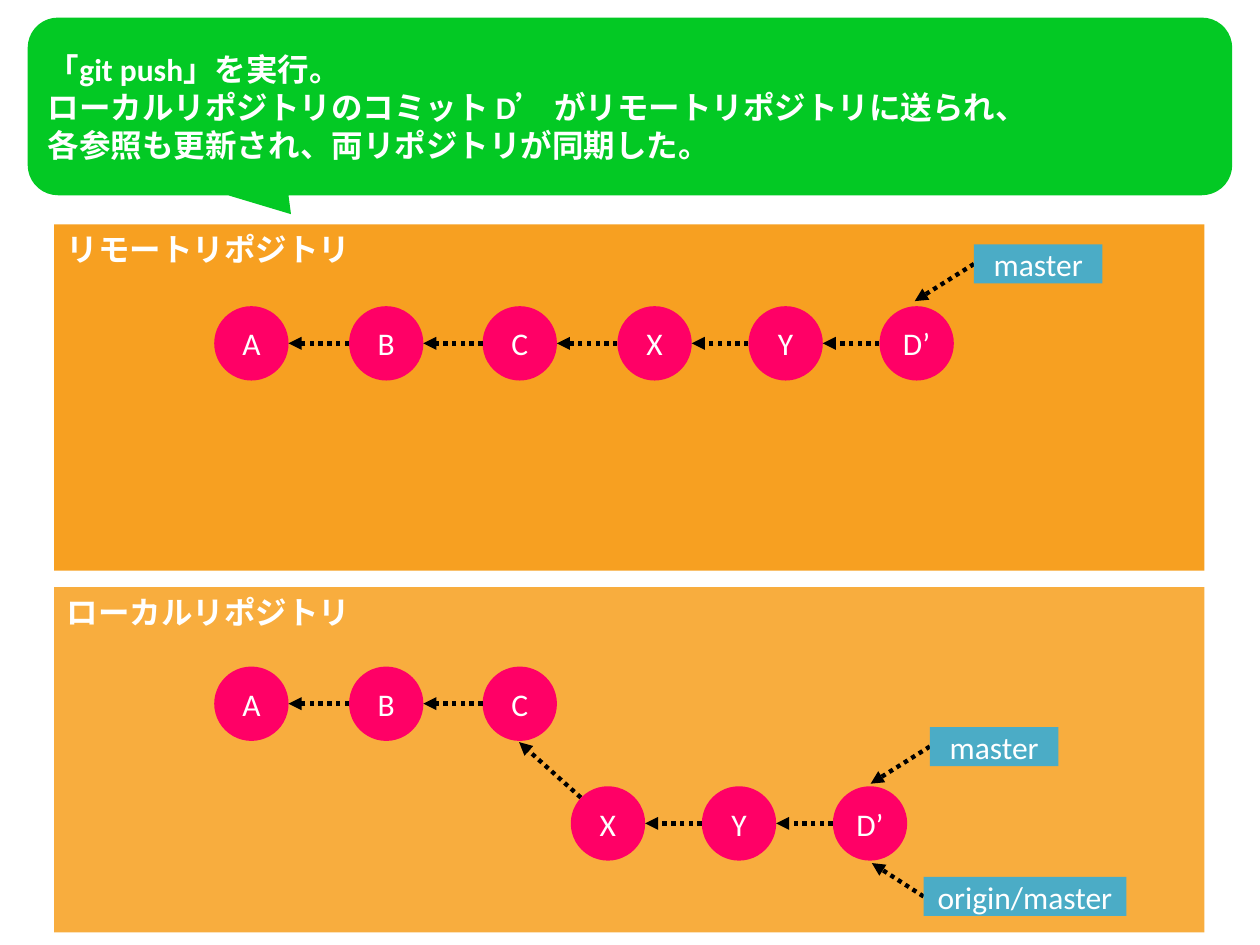
import math

from lxml import etree
from pptx import Presentation
from pptx.dml.color import RGBColor
from pptx.enum.dml import MSO_LINE
from pptx.enum.shapes import MSO_CONNECTOR, MSO_SHAPE
from pptx.enum.text import MSO_ANCHOR, PP_ALIGN
from pptx.oxml.ns import qn
from pptx.util import Inches, Pt

RECT, OVAL = MSO_SHAPE.RECTANGLE, MSO_SHAPE.OVAL
STRAIGHT, DOTTED = MSO_CONNECTOR.STRAIGHT, MSO_LINE.ROUND_DOT
LEFT, CENTER = PP_ALIGN.LEFT, PP_ALIGN.CENTER
TOP, MIDDLE = MSO_ANCHOR.TOP, MSO_ANCHOR.MIDDLE

GREEN = RGBColor(0x03, 0xC9, 0x24)
ORANGE = RGBColor(0xF7, 0xA0, 0x21)
LIGHT_ORANGE = RGBColor(0xF8, 0xAD, 0x3E)
PINK = RGBColor(0xFF, 0x00, 0x66)
BLUE = RGBColor(0x4B, 0xAC, 0xC6)
BLACK = RGBColor(0, 0, 0)
WHITE = RGBColor(0xFF, 0xFF, 0xFF)

LATIN, JAPANESE = "Calibri", "Noto Sans CJK JP"
COMMIT = 0.59
TAG_H = 0.31
REMOTE_Y, LOCAL_Y, LOCAL_BRANCH_Y = 2.43, 5.29, 6.24


def put_text(sp, *lines, font=LATIN, bold=False, align=CENTER, anchor=MIDDLE,
             insets=(0.1, 0.05, 0.1, 0.05), wrap=True):
    tf = sp.text_frame
    tf.word_wrap = wrap
    tf.vertical_anchor = anchor
    tf.margin_left, tf.margin_top, tf.margin_right, tf.margin_bottom = map(Inches, insets)
    for i, line in enumerate(lines):
        p = tf.add_paragraph() if i else tf.paragraphs[0]
        p.alignment = align
        r = p.add_run()
        r.text = line
        r.font.size = Pt(18)
        r.font.bold = bold
        r.font.name = font
        r.font.color.rgb = WHITE
        etree.SubElement(r.font._element, qn("a:ea")).set("typeface", JAPANESE)


def paint(sp, color):
    sp.shadow.inherit = False
    sp.fill.solid()
    sp.fill.fore_color.rgb = color
    sp.line.fill.background()


def add_box(s, kind, x, y, w, h, color):
    sp = s.shapes.add_shape(kind, Inches(x), Inches(y), Inches(w), Inches(h))
    paint(sp, color)
    return sp


def add_panel(s, name, y, h, color):
    sp = add_box(s, RECT, 0.43, y, 9.13, h, color)
    put_text(sp, name, font=JAPANESE, bold=True, align=LEFT, anchor=TOP)


def add_arrow(s, start, end):
    cx = s.shapes.add_connector(STRAIGHT, *map(Inches, start + end))
    cx.line.color.rgb = BLACK
    cx.line.width = Pt(2.5)
    cx.line.dash_style = DOTTED
    etree.SubElement(cx.line._get_or_add_ln(), qn("a:tailEnd")).set("type", "triangle")
    etree.SubElement(cx._element.spPr, qn("a:effectLst"))


def add_commits(s, y, commits):
    """Draw a row of (name, left) commits, each pointing to the one before it."""
    mid = y + COMMIT / 2
    for name, x in commits:
        put_text(add_box(s, OVAL, x, y, COMMIT, COMMIT, PINK), name, wrap=False)
    for (_, parent), (_, child) in zip(commits, commits[1:]):
        add_arrow(s, (child, mid), (parent + COMMIT, mid))


def add_tag(s, name, x, y, w, target):
    """Draw a branch label with an arrow to the commit it refers to."""
    add_arrow(s, (x, y + TAG_H / 2), target)
    put_text(add_box(s, RECT, x, y, w, TAG_H, BLUE), name, wrap=False)


def add_callout(s, left, top, right, bottom, radius, tail, lines):
    """Draw a rounded speech bubble; tail lists its points from right to left."""
    corners = [(right - radius, top + radius, -90), (right - radius, bottom - radius, 0),
               (left + radius, bottom - radius, 90), (left + radius, top + radius, 180)]
    arcs = []
    for cx, cy, start in corners:
        angles = [math.radians(start + step) for step in range(0, 91, 10)]
        arcs.append([(cx + radius * math.cos(a), cy + radius * math.sin(a)) for a in angles])
    points = arcs[0] + arcs[1] + tail + arcs[2] + arcs[3]
    points = [(Inches(x), Inches(y)) for x, y in points]
    builder = s.shapes.build_freeform(*points[0])
    builder.add_line_segments(points[1:], close=True)
    sp = builder.convert_to_shape()
    paint(sp, GREEN)
    put_text(sp, *lines, bold=True, align=LEFT, insets=(0.16, 0.16, 0.16, 0.3))


def main():
    prs = Presentation()
    prs.slide_width, prs.slide_height = Inches(10), Inches(7.5)
    s = prs.slides.add_slide(prs.slide_layouts[6])

    add_panel(s, "リモートリポジトリ", 1.78, 2.75, ORANGE)
    trunk = [("A", 1.7), ("B", 2.77), ("C", 3.83)]
    add_commits(s, REMOTE_Y, trunk + [("X", 4.9), ("Y", 5.94), ("D’", 6.98)])
    add_tag(s, "master", 7.73, 1.94, 1.02, (7.26, 2.39))

    add_panel(s, "ローカルリポジトリ", 4.66, 2.74, LIGHT_ORANGE)
    add_commits(s, LOCAL_Y, trunk)
    add_commits(s, LOCAL_BRANCH_Y, [("X", 4.53), ("Y", 5.57), ("D’", 6.61)])
    add_arrow(s, (4.61, 6.33), (4.12, 5.89))
    add_tag(s, "master", 7.38, 5.77, 1.02, (6.91, 6.22))
    add_tag(s, "origin/master", 7.33, 6.96, 1.61, (6.92, 6.85))

    add_callout(s, 0.22, 0.14, 9.78, 1.55, 0.24,
                tail=[(2.29, 1.55), (2.31, 1.7), (1.81, 1.55)],
                lines=["「git push」を実行。",
                       "ローカルリポジトリのコミット D’ がリモートリポジトリに送られ、",
                       "各参照も更新され、両リポジトリが同期した。"])
    prs.save("out.pptx")


if __name__ == "__main__":
    main()
